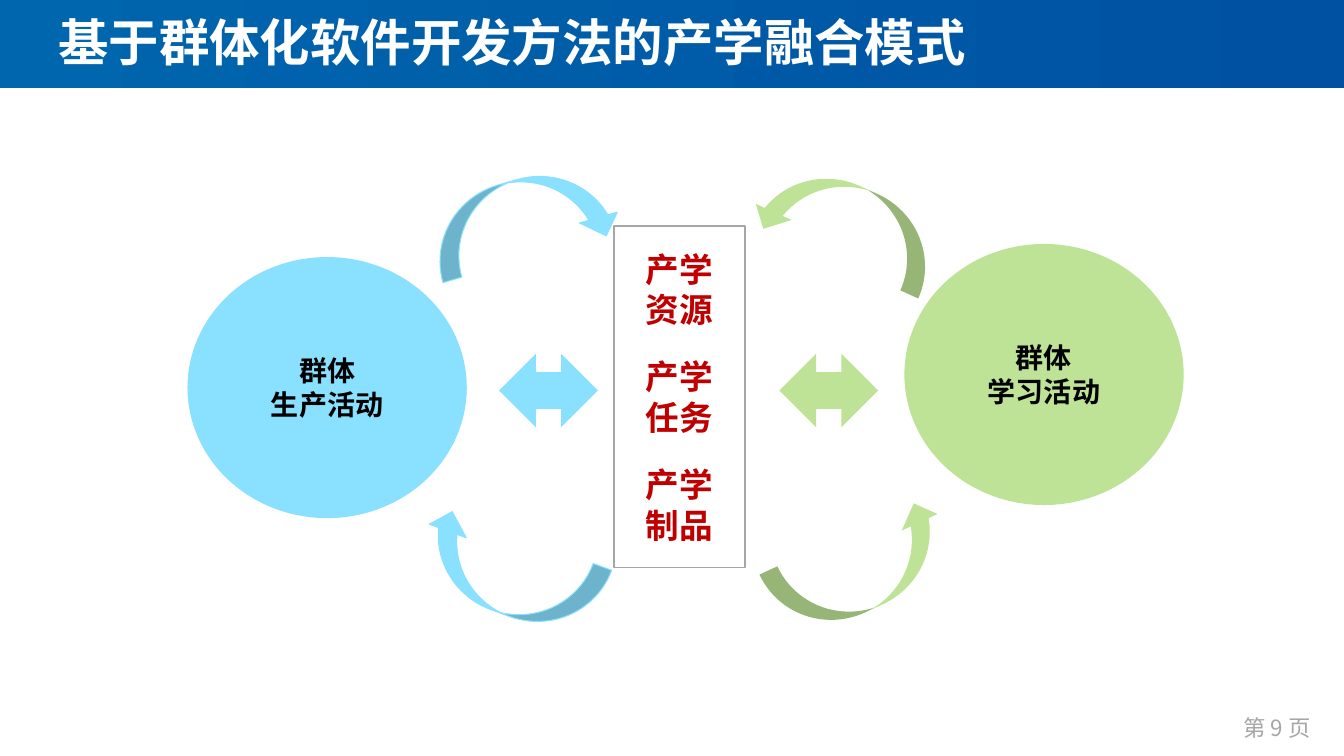
from pptx import Presentation
from pptx.dml.color import RGBColor
from pptx.enum.shapes import MSO_SHAPE
from pptx.enum.text import MSO_ANCHOR, PP_ALIGN
from pptx.util import Inches, Pt

RECT, OVAL = MSO_SHAPE.RECTANGLE, MSO_SHAPE.OVAL
DOUBLE, CURVED = MSO_SHAPE.LEFT_RIGHT_ARROW, MSO_SHAPE.CURVED_DOWN_ARROW
CENTER, LEFT = PP_ALIGN.CENTER, PP_ALIGN.LEFT

FONT = "Noto Sans CJK SC"
COLORS = {"band_left": "0066AE", "band_right": "0051A2", "white": "FFFFFF",
          "gray": "A6A6A6", "black": "000000", "red": "C00000",
          "blue": "89E0FF", "green": "BEE396"}
W, H = 13.33, 7.5

TITLE = "基于群体化软件开发方法的产学融合模式"
PAGE = "第 9 页"
SHARED = [("产学", "资源"), ("产学", "任务"), ("产学", "制品")]
# text, left, top, colour
CIRCLES = [(("群体", "生产活动"), 1.86, 2.55, "blue"),
           (("群体", "学习活动"), 8.97, 2.42, "green")]
CIRCLE_SIZE = (2.77, 2.59)
# left, colour
DOUBLE_ARROWS = [(4.95, "blue"), (7.73, "green")]
DOUBLE_TOP, DOUBLE_SIZE = 3.51, (0.98, 0.73)
# left, top, rotation, flips, colour
CURVED_ARROWS = [(4.25, 1.78, 344, "", "blue"),
                 (7.47, 1.83, 24.2, "H", "green"),
                 (4.11, 5.31, 20.2, "HV", "blue"),
                 (7.61, 5.27, 335.2, "V", "green")]
CURVED_SIZE = (1.88, 0.78)


def rgb(name):
    return RGBColor.from_string(COLORS[name])


def add_solid(s, kind, left, top, size, color=None):
    sp = s.shapes.add_shape(kind, *map(Inches, (left, top, *size)))
    sp.shadow.inherit = False
    if color:
        sp.fill.solid()
        sp.fill.fore_color.rgb = rgb(color)
    else:
        sp.fill.background()
    sp.line.fill.background()
    return sp


def write(sp, groups, size, color, bold=True, align=CENTER, gap=0, leading=None):
    """Write groups of lines, with a gap in points between the groups."""
    tf = sp.text_frame
    tf.vertical_anchor = MSO_ANCHOR.MIDDLE
    tf.text = "\n".join(line for group in groups for line in group)
    starts = [i == 0 for group in groups for i in range(len(group))]
    for i, (p, starts_group) in enumerate(zip(tf.paragraphs, starts)):
        p.alignment = align
        if leading:
            p.line_spacing = Pt(leading)
        if i and starts_group and gap:
            p.space_before = Pt(gap)
        for r in p.runs:
            r.font.name, r.font.size, r.font.bold = FONT, Pt(size), bold
            r.font.color.rgb = rgb(color)
            ea = r.font._element.makeelement(
                "{http://schemas.openxmlformats.org/drawingml/2006/main}ea",
                {"typeface": FONT})
            r.font._element.append(ea)


def add_text(s, box, text, size, color, wrap, **style):
    sp = s.shapes.add_textbox(*map(Inches, box))
    sp.text_frame.word_wrap = wrap
    write(sp, [(text,)], size, color, **style)


def add_header(s):
    band = add_solid(s, RECT, 0, 0, (W, 0.87))
    band.fill.gradient()
    band.fill.gradient_angle = 0
    for stop, color in zip(band.fill.gradient_stops, ("band_left", "band_right")):
        stop.color.rgb = rgb(color)
    add_text(s, (0.48, -0.01, 10.5, 0.84), TITLE, 36, "white", True, align=LEFT)


def add_model(s):
    for text, left, top, color in CIRCLES:
        circle = add_solid(s, OVAL, left, top, CIRCLE_SIZE, color)
        write(circle, [text], 20, "black", leading=24)

    box = add_solid(s, RECT, 6.09, 2.24, (1.3, 3.39))
    box.line.color.rgb = rgb("gray")
    box.line.width = Pt(1.25)
    write(box, SHARED, 24, "red", gap=19, leading=29)

    for left, color in DOUBLE_ARROWS:
        add_solid(s, DOUBLE, left, DOUBLE_TOP, DOUBLE_SIZE, color)

    for left, top, rotation, flips, color in CURVED_ARROWS:
        arrow = add_solid(s, CURVED, left, top, CURVED_SIZE, color)
        arrow.rotation = rotation
        for flip in flips:
            arrow._element.spPr.xfrm.set("flip" + flip, "1")
        if color == "blue":
            arrow.line.color.rgb = rgb(color)
            arrow.line.width = Pt(0.75)


def main():
    prs = Presentation()
    prs.slide_width, prs.slide_height = Inches(W), Inches(H)
    s = prs.slides.add_slide(prs.slide_layouts[6])
    add_header(s)
    add_model(s)
    add_text(s, (12, 6.92, 1.33, 0.6), PAGE, 16, "gray", False, bold=False)
    prs.save("out.pptx")


if __name__ == "__main__":
    main()
